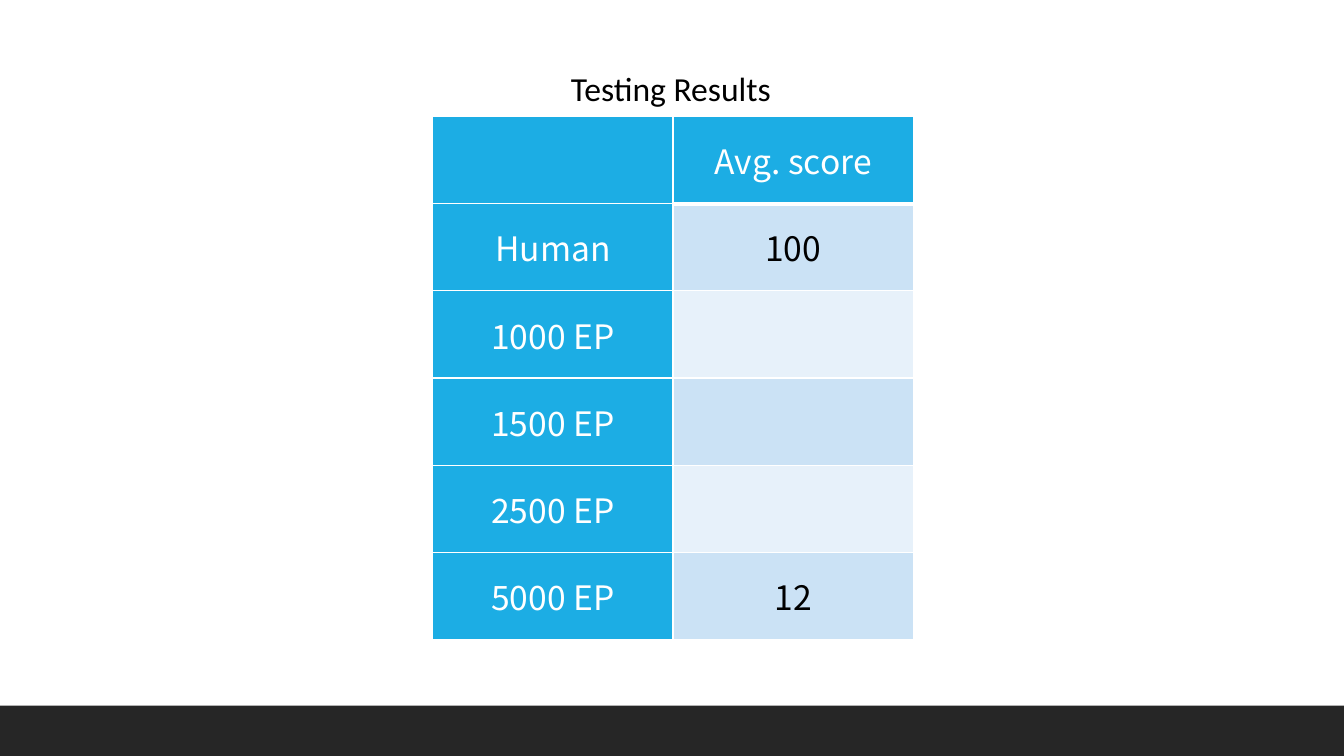
from dataclasses import dataclass

from lxml import etree
from pptx import Presentation
from pptx import util as u
from pptx.dml.color import RGBColor
from pptx.enum import shapes, text
from pptx.oxml import ns

PX = 9525
ROWS = [
    ("", "Avg. score"),
    ("Human", "100"),
    ("1000 EP", ""),
    ("1500 EP", ""),
    ("2500 EP", ""),
    ("5000 EP", "12"),
]


@dataclass(frozen=True)
class Theme:
    head: str = "1CADE4"
    bands: tuple = ("E7F1FA", "CBE2F5")
    dark: str = "262626"
    light: str = "FFFFFF"
    ink: str = "000000"
    size: int = 24
    title: str = "Calibri"
    body: str = "Noto Sans CJK KR"
    thin: int = 1
    thick: int = 3


THEME = Theme()


def px(*nums):
    return [u.Emu(num * PX) for num in nums]


def paint(fill, color):
    fill.solid()
    fill.fore_color.rgb = RGBColor.from_string(color)


def style(para, name, color):
    for run in para.runs:
        run.font.name = name
        run.font.size = u.Pt(THEME.size)
        run.font.color.rgb = RGBColor.from_string(color)


def add_bar(slide, *box):
    bar = slide.shapes.add_shape(shapes.MSO_SHAPE.RECTANGLE, *px(*box))
    bar.shadow.inherit = False
    paint(bar.fill, THEME.dark)
    bar.line.fill.background()


def add_title(slide, words, *box):
    frame = slide.shapes.add_textbox(*px(*box)).text_frame
    frame.word_wrap = False
    frame.auto_size = text.MSO_AUTO_SIZE.SHAPE_TO_FIT_TEXT
    frame.margin_left = frame.margin_right = u.Inches(0.05)
    frame.margin_top = frame.margin_bottom = u.Inches(0.05)
    frame.text = words
    style(frame.paragraphs[0], THEME.title, THEME.ink)


def add_edge(cell, side, width):
    props = cell._tc.get_or_add_tcPr()
    line = etree.SubElement(props, ns.qn(f"a:ln{side}"), w=str(u.Pt(width)))
    fill = etree.SubElement(line, ns.qn("a:solidFill"))
    etree.SubElement(fill, ns.qn("a:srgbClr"), val=THEME.light)


def set_cell(cell, words, row, col):
    is_head = row == 0 or col == 0
    rule = {0: "B", 1: "T"}.get(row) if col else None
    for side in "LRTB":
        add_edge(cell, side, THEME.thick if side == rule else THEME.thin)
    paint(cell.fill, THEME.head if is_head else THEME.bands[row % 2])
    cell.margin_left = cell.margin_right = 0
    cell.margin_top = cell.margin_bottom = 0
    cell.vertical_anchor = text.MSO_ANCHOR.MIDDLE
    cell.text = words
    para = cell.text_frame.paragraphs[0]
    para.alignment = text.PP_ALIGN.CENTER
    style(para, THEME.body, THEME.light if is_head else THEME.ink)


def add_grid(slide, rows, left, top, wide, high):
    count, cols = len(rows), len(rows[0])
    box = px(left, top, wide * cols, high * count)
    table = slide.shapes.add_table(count, cols, *box).table
    for row, line in enumerate(rows):
        for col, words in enumerate(line):
            set_cell(table.cell(row, col), words, row, col)


def main():
    deck = Presentation()
    deck.slide_width, deck.slide_height = px(1280, 720)
    slide = deck.slides.add_slide(deck.slide_layouts[6])
    add_bar(slide, 0, 672, 1280, 48)
    add_grid(slide, ROWS, 412, 111, 229, 83)
    add_title(slide, "Testing Results", 539, 60, 202, 41)
    deck.save("out.pptx")


if __name__ == "__main__":
    main()
